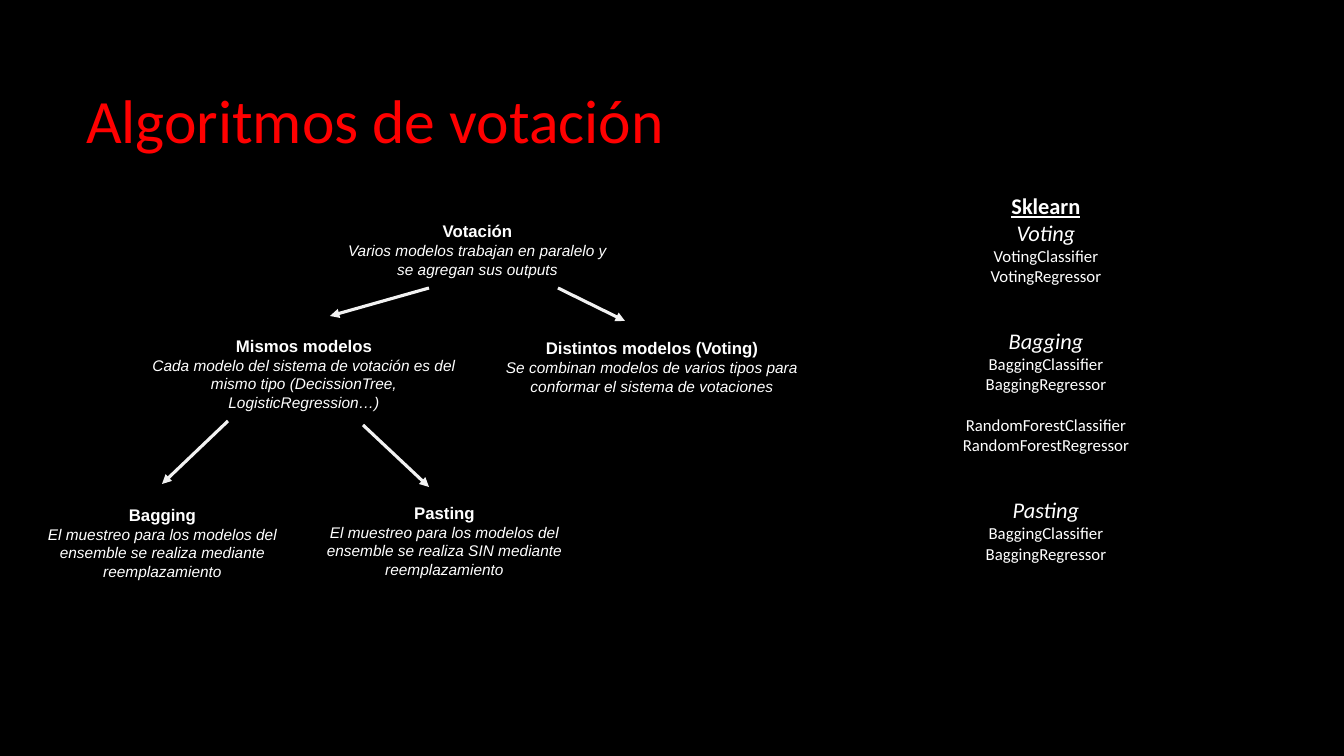
from lxml import etree
from pptx import Presentation
from pptx import util as u
from pptx.dml.color import RGBColor
from pptx.enum import shapes, text
from pptx.oxml import ns

PX = 914400 / 100.8
BLACK = RGBColor(0x00, 0x00, 0x00)
RED = RGBColor(0xFF, 0x00, 0x00)
WHITE = RGBColor(0xFF, 0xFF, 0xFF)
PALE_GREY = RGBColor(0xF2, 0xF2, 0xF2)

LINE_GAP = 14.65  # height in points of one 12 pt Calibri line

TREE_NODES = [
    ((330, 216, 295, 68), "Votación",
     "Varios modelos trabajan en paralelo y se agregan sus outputs"),
    ((130, 331, 348, 87), "Mismos modelos",
     "Cada modelo del sistema de votación es del mismo tipo "
     "(DecissionTree, LogisticRegression…)"),
    ((478, 333, 348, 68), "Distintos modelos (Voting)",
     "Se combinan modelos de varios tipos para conformar el sistema de votaciones"),
    ((21, 500, 283, 87), "Bagging",
     "El muestreo para los modelos del ensemble se realiza mediante reemplazamiento"),
    ((303, 498, 283, 87), "Pasting",
     "El muestreo para los modelos del ensemble se realiza SIN mediante reemplazamiento"),
]
TREE_ARROWS = [
    (429, 288, 330, 316),
    (558, 288, 625, 321),
    (363, 425, 429, 487),
    (228, 421, 162, 484),
]
# Each family: its name, then groups of classes
SKLEARN_FAMILIES = [
    ("Voting", [["VotingClassifier", "VotingRegressor"]]),
    ("Bagging", [["BaggingClassifier", "BaggingRegressor"],
                 ["RandomForestClassifier", "RandomForestRegressor"]]),
    ("Pasting", [["BaggingClassifier", "BaggingRegressor"]]),
]


def emu(*lengths):
    return [u.Emu(round(length * PX)) for length in lengths]


def add_text_frame(slide, box):
    frame = slide.shapes.add_textbox(*emu(*box)).text_frame
    frame.word_wrap = True
    return frame


def add_line(frame, wording, font_name, size, bold=False, italic=False,
             underline=False, gap=0):
    """Append a centred white paragraph, reusing the empty first one."""
    first = frame.paragraphs[0]
    paragraph = frame.add_paragraph() if first.runs else first
    paragraph.text = wording
    paragraph.alignment = text.PP_ALIGN.CENTER
    paragraph.space_before = u.Pt(gap)
    font = paragraph.font
    font.name, font.size = font_name, u.Pt(size)
    font.bold, font.italic, font.underline = bold, italic, underline
    font.color.rgb = WHITE


def place_title(slide, box, wording):
    title = slide.shapes.title
    title.left, title.top, title.width, title.height = emu(*box)
    frame = title.text_frame
    frame.text = wording
    frame.auto_size = text.MSO_AUTO_SIZE.NONE
    frame.vertical_anchor = text.MSO_ANCHOR.MIDDLE
    paragraph = frame.paragraphs[0]
    paragraph.alignment = text.PP_ALIGN.LEFT
    paragraph.line_spacing = 0.9
    paragraph.font.name, paragraph.font.size = "Calibri", u.Pt(44)
    paragraph.font.color.rgb = RED


def add_node(slide, box, heading, description):
    frame = add_text_frame(slide, box)
    frame.auto_size = text.MSO_AUTO_SIZE.SHAPE_TO_FIT_TEXT
    add_line(frame, heading, "Arial", 12, bold=True)
    add_line(frame, description, "Arial", 11, italic=True)


def add_arrow(slide, ends):
    arrow = slide.shapes.add_connector(shapes.MSO_CONNECTOR.STRAIGHT, *emu(*ends))
    arrow.line.color.rgb = PALE_GREY
    arrow.line.width = u.Pt(2.25)
    properties = arrow.element.spPr
    outline = properties.find(ns.qn("a:ln"))
    etree.SubElement(outline, ns.qn("a:tailEnd"), type="triangle")
    etree.SubElement(properties, ns.qn("a:effectLst"))


def add_voting_tree(slide, box):
    left, top = box[:2]
    for (x, y, width, height), heading, description in TREE_NODES:
        add_node(slide, (left + x, top + y, width, height), heading, description)
    for x1, y1, x2, y2 in TREE_ARROWS:
        add_arrow(slide, (left + x1, top + y1, left + x2, top + y2))


def add_sklearn_list(slide, box):
    frame = add_text_frame(slide, box)
    frame.margin_top = frame.margin_bottom = u.Inches(0.1)
    add_line(frame, "Sklearn", "Calibri", 16, bold=True, underline=True)
    for family_index, (family, groups) in enumerate(SKLEARN_FAMILIES):
        add_line(frame, family, "Calibri", 16, italic=True,
                 gap=2 * LINE_GAP if family_index else 0)
        for group_index, group in enumerate(groups):
            for class_index, class_name in enumerate(group):
                opens_group = group_index > 0 and class_index == 0
                add_line(frame, class_name, "Calibri", 12,
                         gap=LINE_GAP if opens_group else 0)


def main():
    presentation = Presentation()
    presentation.slide_width, presentation.slide_height = emu(1344, 756)
    slide = presentation.slides.add_slide(presentation.slide_layouts[5])
    slide.background.fill.solid()
    slide.background.fill.fore_color.rgb = BLACK
    place_title(slide, (76, 64, 842, 119), "Algoritmos de votación")
    add_voting_tree(slide, (0, 0, 826, 587))
    add_sklearn_list(slide, (880, 182, 332, 426))
    presentation.save("out.pptx")


if __name__ == "__main__":
    main()
